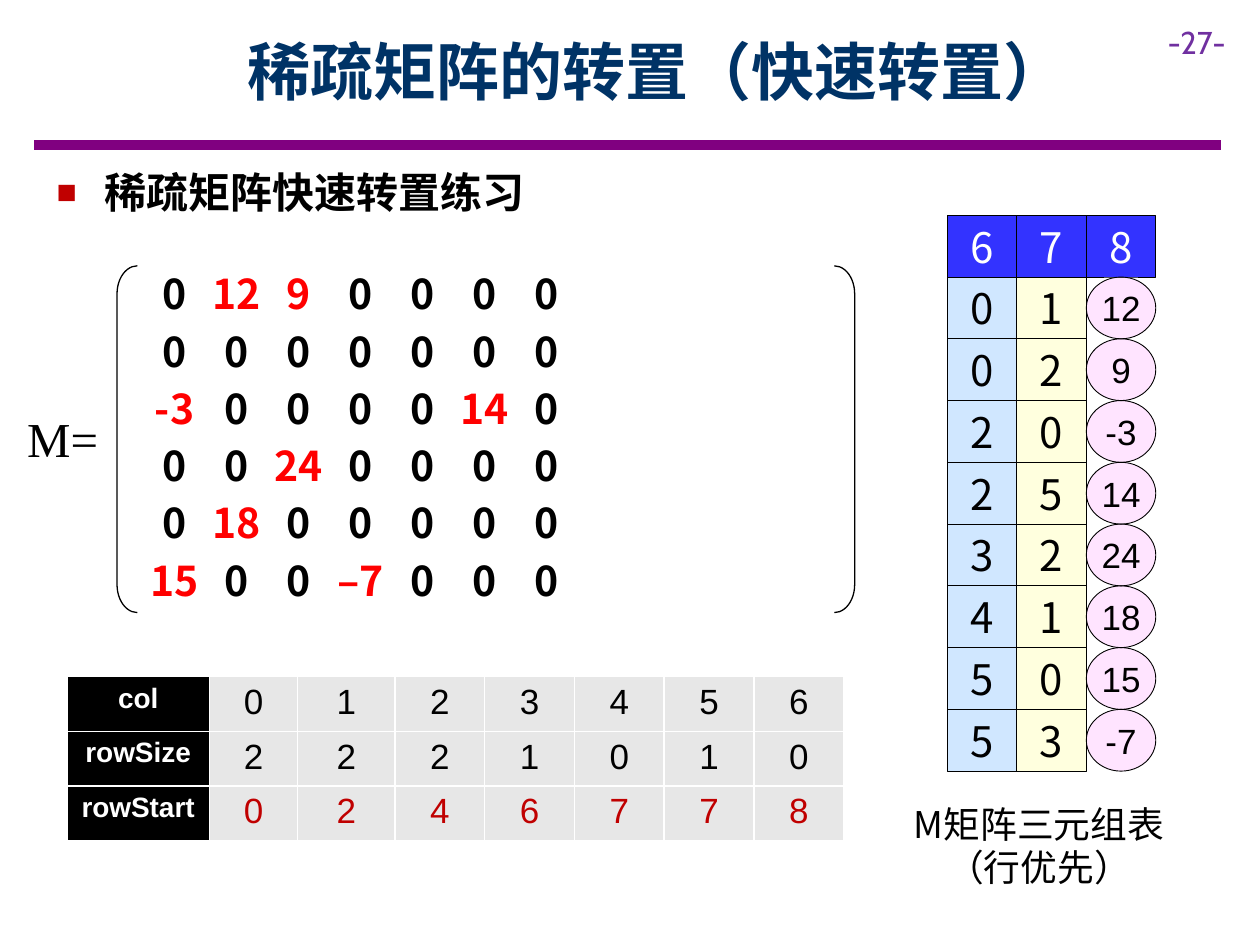
from lxml.etree import SubElement
from pptx import Presentation
from pptx.dml.color import RGBColor
from pptx.enum.shapes import MSO_CONNECTOR, MSO_SHAPE
from pptx.enum.text import MSO_ANCHOR, PP_ALIGN
from pptx.oxml.ns import qn
from pptx.util import Cm, Pt

TITLE = "稀疏矩阵的转置（快速转置）"
TOPIC = "稀疏矩阵快速转置练习"
PAGE = "-27-"
LABEL = "M="
NOTE = "M矩阵三元组表\n（行优先）"
MATRIX = [
    ["0", "12", "9", "0", "0", "0", "0"],
    ["0", "0", "0", "0", "0", "0", "0"],
    ["-3", "0", "0", "0", "0", "14", "0"],
    ["0", "0", "24", "0", "0", "0", "0"],
    ["0", "18", "0", "0", "0", "0", "0"],
    ["15", "0", "0", "–7", "0", "0", "0"],
]
TRIPLES = [
    (6, 7, 8),
    (0, 1, 12), (0, 2, 9), (2, 0, -3), (2, 5, 14),
    (3, 2, 24), (4, 1, 18), (5, 0, 15), (5, 3, -7),
]
COUNTS = [
    ("col", 0, 1, 2, 3, 4, 5, 6),
    ("rowSize", 2, 2, 2, 1, 0, 1, 0),
    ("rowStart", 0, 2, 4, 6, 7, 7, 8),
]
WIDTHS = [2.87, 1.78, 1.96] + [1.81] * 5

THEME = {
    "cjk": "Noto Sans CJK SC", "sans": "Arial",
    "serif": "Times New Roman", "page": "Cabin",
    "ink": "000000", "white": "FFFFFF", "navy": "003366",
    "rule": "800080", "violet": "7030A0", "red": "FF0000",
    "dark": "C00000", "gray": "E7E7E7", "head": "3333FF",
    "title": 36, "topic": 24, "matrix": 23.4, "label": 27.9, "note": 21,
    "small": 18, "key": 16, "count": 20, "cell": 24, "value": 20,
}
KINDS = [
    (MSO_SHAPE.RECTANGLE, "99CCFF", 46, "cjk", "cell"),
    (MSO_SHAPE.RECTANGLE, "FFFF00", 13, "cjk", "cell"),
    (MSO_SHAPE.OVAL, "FF99FF", 26, "sans", "value"),
]


def rgb(name):
    return RGBColor.from_string(THEME.get(name, name))


def style(run, face, size, color, bold=False):
    font = run.font
    font.name, font.size, font.bold = THEME[face], Pt(THEME[size]), bold
    font.color.rgb = rgb(color)
    for tag in ("a:ea", "a:cs"):
        SubElement(run._r.rPr, qn(tag), typeface=THEME[face])


def write(frame, text, face, size, color, bold=False, align=PP_ALIGN.LEFT):
    frame.text = text
    for para in frame.paragraphs:
        para.alignment = align
        for run in para.runs:
            style(run, face, size, color, bold)


def pad(frame, side, top):
    frame.margin_left = frame.margin_right = Cm(side)
    frame.margin_top = frame.margin_bottom = Cm(top)


def box(slide, left, top, width, height, anchor=MSO_ANCHOR.MIDDLE):
    frame = slide.shapes.add_textbox(Cm(left), Cm(top), Cm(width), Cm(height)).text_frame
    frame.word_wrap = True
    frame.vertical_anchor = anchor
    pad(frame, 0.25, 0.13)
    return frame


def shape(slide, kind, left, top, width, height, line):
    item = slide.shapes.add_shape(kind, Cm(left), Cm(top), Cm(width), Cm(height))
    item.shadow.inherit = False
    item.line.color.rgb = rgb("ink")
    item.line.width = Pt(line)
    return item


def header(slide):
    rule = slide.shapes.add_connector(MSO_CONNECTOR.STRAIGHT, Cm(0.69), Cm(2.92), Cm(24.61), Cm(2.92))
    rule.line.color.rgb = rgb("rule")
    rule.line.width = Pt(6)
    SubElement(rule._element.spPr, qn("a:effectLst"))
    write(box(slide, 23.29, 0.33, 2.11, 1.02), PAGE, "page", "small", "violet")
    write(box(slide, 2.9, 0.56, 20.68, 1.73), TITLE, "cjk", "title", "navy", True, PP_ALIGN.CENTER)

    frame = box(slide, 0.89, 3.18, 24.5, 1.37)
    frame.text = TOPIC
    para = frame.paragraphs[0]
    props = para._p.get_or_add_pPr()
    props.set("marL", str(Cm(0.96)))
    props.set("indent", str(Cm(-0.96)))
    tint = SubElement(props, qn("a:buClr"))
    SubElement(tint, qn("a:srgbClr"), val=THEME["dark"])
    SubElement(props, qn("a:buSzPct"), val="80000")
    SubElement(props, qn("a:buFont"), typeface=THEME["sans"])
    SubElement(props, qn("a:buChar"), char="■")
    style(para.runs[0], "cjk", "topic", "ink", True)


def matrix(slide):
    for kind, left in ((MSO_SHAPE.LEFT_BRACKET, 2.36), (MSO_SHAPE.RIGHT_BRACKET, 16.82)):
        side = shape(slide, kind, left, 5.36, 0.41, 6.99, 0.75)
        side.adjustments[0] = 1.375
        side.fill.background()
    write(box(slide, 0.3, 8.1, 2.06, 1.45), LABEL, "serif", "label", "ink")

    frame = box(slide, 2.77, 5.13, 14.25, 7.26, MSO_ANCHOR.TOP)
    for num, row in enumerate(MATRIX):
        para = frame.add_paragraph() if num else frame.paragraphs[0]
        para.line_spacing = Pt(32.7)
        tabs = SubElement(para._p.get_or_add_pPr(), qn("a:tabLst"))
        for col, text in enumerate(row):
            SubElement(tabs, qn("a:tab"), pos=str(Cm(0.5 + 1.25 * col)), algn="ctr")
            run = para.add_run()
            run.text = "\t" + text
            style(run, "cjk", "matrix", "ink" if text == "0" else "red", True)


def edge(cell):
    props = cell._tc.get_or_add_tcPr()
    for tag in ("a:lnL", "a:lnR", "a:lnT", "a:lnB"):
        line = SubElement(props, qn(tag), w=str(Pt(1)))
        fill = SubElement(line, qn("a:solidFill"))
        SubElement(fill, qn("a:srgbClr"), val=THEME["white"])


def counts(slide):
    table = slide.shapes.add_table(
        len(COUNTS), len(WIDTHS), Cm(1.35), Cm(13.64), Cm(sum(WIDTHS)), Cm(3.3)).table
    table.first_row = table.horz_banding = False
    for col, width in zip(table.columns, WIDTHS):
        col.width = Cm(width)
    for num, row in enumerate(COUNTS):
        table.rows[num].height = Cm(1.1)
        for col, value in enumerate(row):
            cell = table.cell(num, col)
            edge(cell)
            cell.fill.solid()
            cell.fill.fore_color.rgb = rgb("gray" if col else "ink")
            ink = "white" if col == 0 else "dark" if num == 2 else "ink"
            write(cell.text_frame, str(value), "sans", "count" if col else "key",
                  ink, col == 0, PP_ALIGN.CENTER)


def triples(slide):
    wide, high = 1.4, 1.245
    for num, row in enumerate(TRIPLES):
        for col, value in enumerate(row):
            kind, color, alpha, face, size = KINDS[col] if num else KINDS[0]
            item = shape(slide, kind, 19.1 + wide * col, 4.34 + high * num, wide, high, 0.5)
            item.fill.solid()
            item.fill.fore_color.rgb = rgb(color if num else "head")
            if num:
                tint = item._element.spPr.find(qn("a:solidFill"))[0]
                SubElement(tint, qn("a:alpha"), val=str(alpha * 1000))
            frame = item.text_frame
            pad(frame, 0, 0)
            frame.vertical_anchor = MSO_ANCHOR.MIDDLE
            write(frame, str(value), face, size, "ink" if num else "white", align=PP_ALIGN.CENTER)

    frame = box(slide, 18.24, 16.18, 5.41, 1.8, MSO_ANCHOR.TOP)
    pad(frame, 0, 0)
    write(frame, NOTE, "cjk", "note", "ink", align=PP_ALIGN.CENTER)
    for para in frame.paragraphs:
        para.line_spacing = Pt(24.6)


def main():
    deck = Presentation()
    deck.slide_width, deck.slide_height = Cm(25.4), Cm(19.05)
    slide = deck.slides.add_slide(deck.slide_layouts[6])
    for part in (header, matrix, counts, triples):
        part(slide)
    deck.save("out.pptx")


if __name__ == "__main__":
    main()
